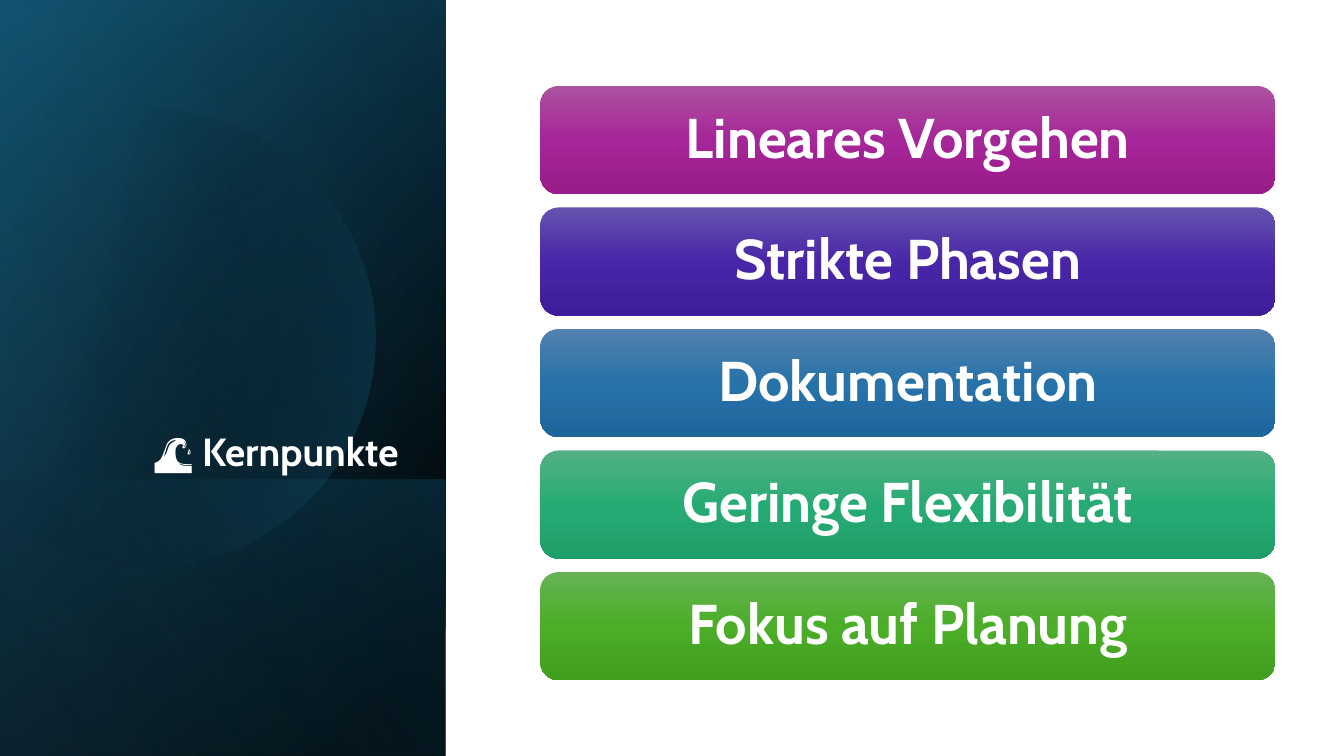
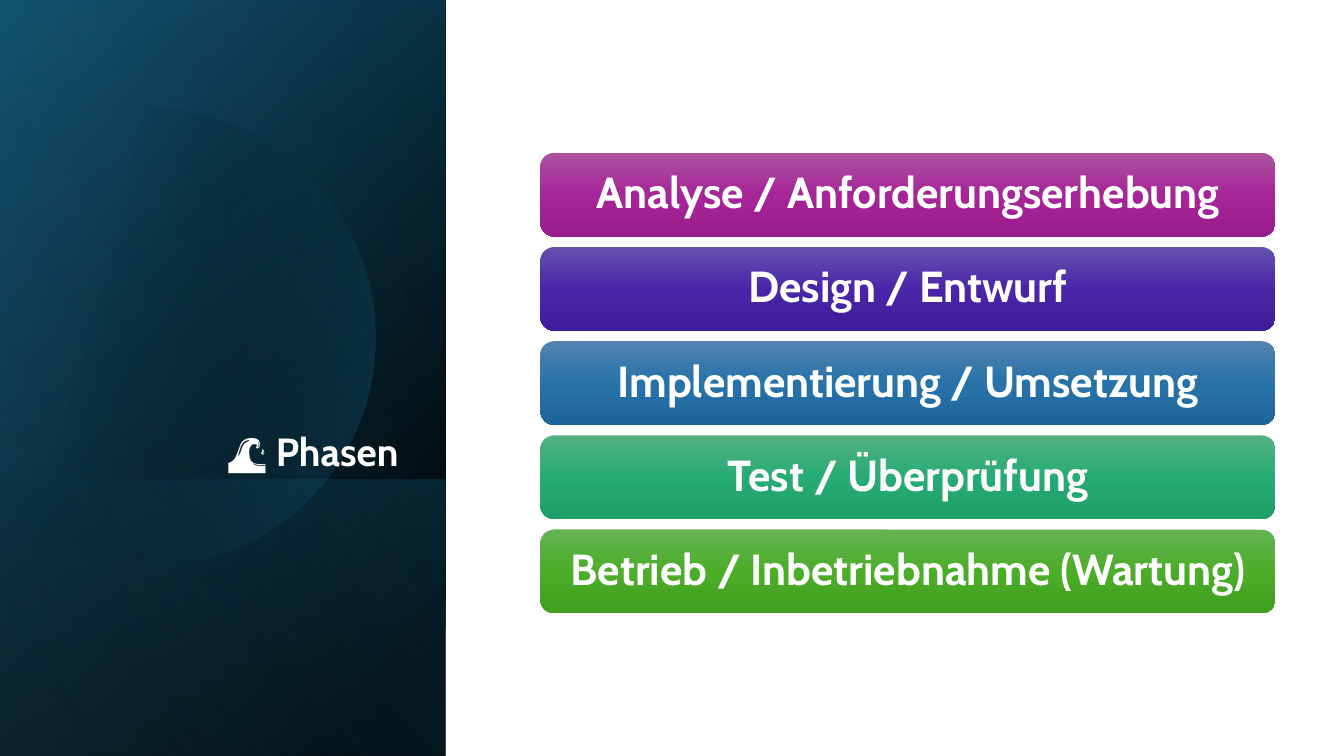
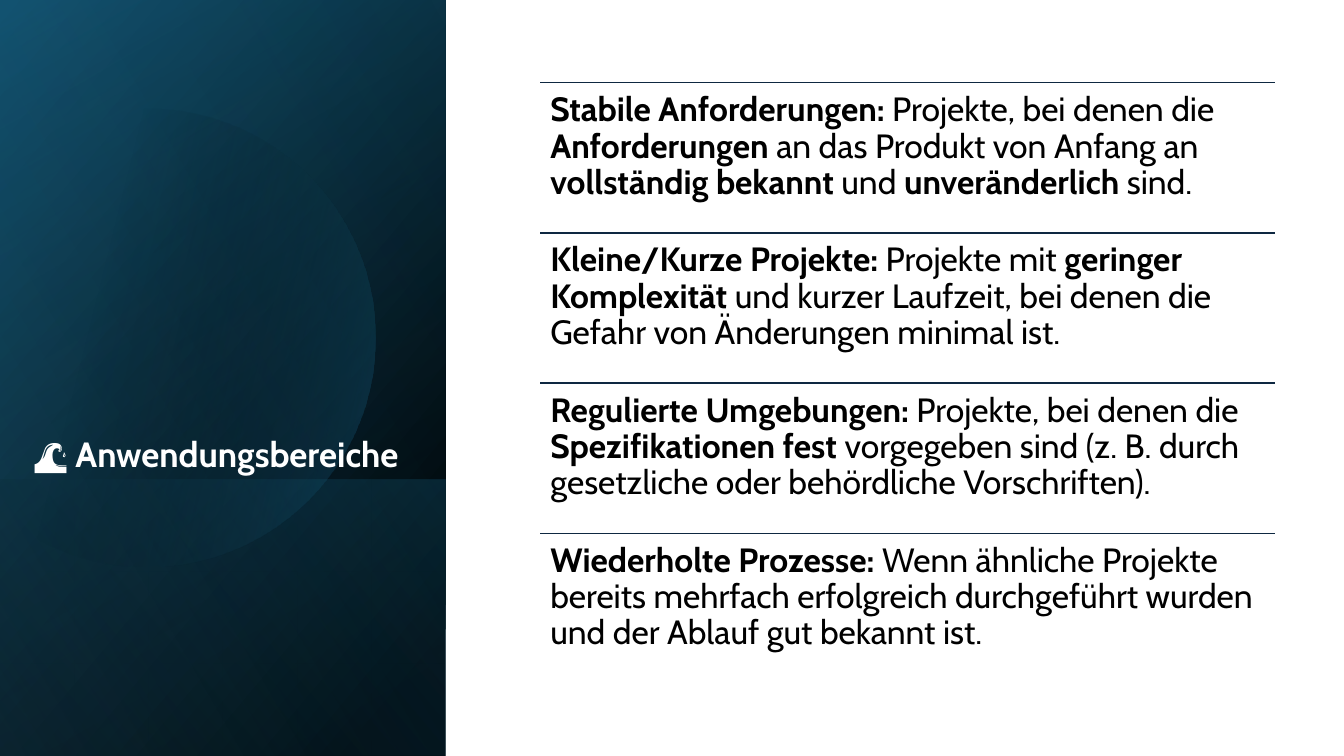
from dataclasses import dataclass
from math import acos, cos, pi, sin

from lxml import etree
from pptx import Presentation
from pptx.dml.color import RGBColor
from pptx.enum.shapes import MSO_CONNECTOR, MSO_SHAPE
from pptx.enum.text import MSO_ANCHOR, PP_ALIGN
from pptx.oxml.ns import qn
from pptx.util import Inches, Pt

RECTANGLE = MSO_SHAPE.RECTANGLE
ROUNDED = MSO_SHAPE.ROUNDED_RECTANGLE
STRAIGHT = MSO_CONNECTOR.STRAIGHT
TOP, MIDDLE, BOTTOM = MSO_ANCHOR.TOP, MSO_ANCHOR.MIDDLE, MSO_ANCHOR.BOTTOM
LEFT, CENTER, RIGHT = PP_ALIGN.LEFT, PP_ALIGN.CENTER, PP_ALIGN.RIGHT


@dataclass(frozen=True)
class Theme:
    font: str = "Cabin"
    light: str = "FFFFFF"
    dark: str = "000000"
    rule: str = "0E2841"
    body_size: int = 24
    line_spacing: float = 0.9
    bars: tuple = (
        ("AC53A0", "A62598", "991C8B"),
        ("6553AE", "4926A8", "3E1C9A"),
        ("5382AF", "2772A9", "1D669C"),
        ("54B183", "27AB74", "1E9E68"),
        ("66B354", "4BAD28", "409F1E"),
    )


THEME = Theme()

SLIDES = [
    {
        "title": [("🌊 Kernpunkte", 28)],
        "bar_size": 40,
        "bars": [
            "Lineares Vorgehen",
            "Strikte Phasen",
            "Dokumentation",
            "Geringe Flexibilität",
            "Fokus auf Planung",
        ],
    },
    {
        "title": [("🌊 Phasen", 28)],
        "bar_size": 31,
        "bars": [
            "Analyse / Anforderungserhebung",
            "Design / Entwurf",
            "Implementierung / Umsetzung",
            "Test / Überprüfung",
            "Betrieb / Inbetriebnahme (Wartung)",
        ],
    },
    {
        "title": [("🌊 ", 24), ("Anwendungsbereiche", 25)],
        "rows": [
            "**Stabile Anforderungen:** Projekte, bei denen die **Anforderungen** an das Produkt "
            "von Anfang an **vollständig bekannt** und **unveränderlich** sind.",
            "**Kleine/Kurze Projekte:** Projekte mit **geringer Komplexität** und kurzer Laufzeit, "
            "bei denen die Gefahr von Änderungen minimal ist.",
            "**Regulierte Umgebungen:** Projekte, bei denen die **Spezifikationen fest** vorgegeben "
            "sind (z. B. durch gesetzliche oder behördliche Vorschriften).",
            "**Wiederholte Prozesse:** Wenn ähnliche Projekte bereits mehrfach erfolgreich "
            "durchgeführt wurden und der Ablauf gut bekannt ist.",
        ],
    },
]

SLIDE_WIDTH, SLIDE_HEIGHT = 13.33, 7.5
PANEL_WIDTH = 4.42
SHADE_HEIGHT = 2.74
TITLE_LEFT, TITLE_RIGHT, TITLE_TOP, TITLE_BOTTOM = 0.11, 4.05, 1.84, 4.76
CONTENT_LEFT, CONTENT_WIDTH, CONTENT_MIDDLE = 5.36, 7.29, 3.8
BAR_EMS, GAP_EMS, INSET_EMS = 1.93, 0.24, 0.3
ROW_HEIGHT, ROW_INSET = 1.49, 0.1
CIRCLE_X, CIRCLE_Y, CIRCLE_RADIUS, CIRCLE_STEPS = 1.45, 3.35, 2.27, 90

BASE_LAYERS = [
    ([(8, "000000", 100), (100, "104862", 100)], 50, SLIDE_HEIGHT),
    ([(0, "000000", 0), (99, "156082", 46)], 30, SLIDE_HEIGHT),
    ([(2, "156082", 29), (100, "000000", 30)], 130, SHADE_HEIGHT),
]
CIRCLE_STOPS, CIRCLE_ANGLE = [(29, "000000", 0), (100, "156082", 43)], 14
GLOW_LAYER = ([(0, "000000", 0), (99, "46B1E1", 11)], 120, SLIDE_HEIGHT)


def paint(shape, stops, angle):
    gradient = etree.SubElement(shape.element.spPr, qn("a:gradFill"), rotWithShape="1")
    stop_list = etree.SubElement(gradient, qn("a:gsLst"))
    for position, color, opacity in stops:
        stop = etree.SubElement(stop_list, qn("a:gs"), pos=str(position * 1000))
        tint = etree.SubElement(stop, qn("a:srgbClr"), val=color)
        if opacity < 100:
            etree.SubElement(tint, qn("a:alpha"), val=str(opacity * 1000))
    etree.SubElement(gradient, qn("a:lin"), ang=str(angle * 60000), scaled="0")
    shape.line.fill.background()
    shape.shadow.inherit = False


def write(shape, runs, color, alignment, anchor, inset=None):
    frame = shape.text_frame
    frame.word_wrap = True
    frame.vertical_anchor = anchor
    if inset is not None:
        frame.margin_left = frame.margin_right = Inches(inset)
        frame.margin_top = frame.margin_bottom = Inches(inset)
    paragraph = frame.paragraphs[0]
    paragraph.alignment = alignment
    paragraph.line_spacing = THEME.line_spacing
    for text, size, bold in runs:
        run = paragraph.add_run()
        run.text = text
        run.font.name = THEME.font
        run.font.size = Pt(size)
        run.font.bold = bold
        run.font.color.rgb = RGBColor.from_string(color)


def add_panel_layer(slide, stops, angle, height):
    center_x, center_y = PANEL_WIDTH / 2, SLIDE_HEIGHT - height / 2
    layer = slide.shapes.add_shape(
        RECTANGLE,
        Inches(center_x - height / 2),
        Inches(center_y - PANEL_WIDTH / 2),
        Inches(height),
        Inches(PANEL_WIDTH),
    )
    layer.rotation = 90
    layer.element.spPr.find(qn("a:xfrm")).set("flipH", "1")
    paint(layer, stops, angle)


def add_panel_circle(slide):
    limit = acos(-CIRCLE_X / CIRCLE_RADIUS)
    angles = [limit * (2 * step / CIRCLE_STEPS - 1) for step in range(CIRCLE_STEPS + 1)]
    points = [
        (
            Inches(CIRCLE_X + CIRCLE_RADIUS * cos(angle)),
            Inches(CIRCLE_Y + CIRCLE_RADIUS * sin(angle)),
        )
        for angle in angles
    ]
    builder = slide.shapes.build_freeform(*points[0])
    builder.add_line_segments(points[1:], close=True)
    paint(builder.convert_to_shape(), CIRCLE_STOPS, CIRCLE_ANGLE)


def add_title_panel(slide, title):
    for layer in BASE_LAYERS:
        add_panel_layer(slide, *layer)
    add_panel_circle(slide)
    add_panel_layer(slide, *GLOW_LAYER)
    box = slide.shapes.add_textbox(
        Inches(TITLE_LEFT),
        Inches(TITLE_TOP),
        Inches(TITLE_RIGHT - TITLE_LEFT),
        Inches(TITLE_BOTTOM - TITLE_TOP),
    )
    runs = [(text, size, True) for text, size in title]
    write(box, runs, THEME.light, RIGHT, BOTTOM)


def add_bars(slide, labels, size):
    em = size / 72
    height, gap = BAR_EMS * em, GAP_EMS * em
    top = CONTENT_MIDDLE - (len(labels) * (height + gap) - gap) / 2
    for index, (label, colors) in enumerate(zip(labels, THEME.bars)):
        bar = slide.shapes.add_shape(
            ROUNDED,
            Inches(CONTENT_LEFT),
            Inches(top + index * (height + gap)),
            Inches(CONTENT_WIDTH),
            Inches(height),
        )
        stops = [(position, color, 100) for position, color in zip((0, 50, 100), colors)]
        paint(bar, stops, 90)
        write(bar, [(label, size, True)], THEME.light, CENTER, MIDDLE, INSET_EMS * em)


def add_rows(slide, rows):
    first_top = CONTENT_MIDDLE - len(rows) * ROW_HEIGHT / 2
    left, width = Inches(CONTENT_LEFT), Inches(CONTENT_WIDTH)
    for index, row in enumerate(rows):
        top = Inches(first_top + index * ROW_HEIGHT)
        rule = slide.shapes.add_connector(STRAIGHT, left, top, left + width, top)
        rule.line.color.rgb = RGBColor.from_string(THEME.rule)
        rule.line.width = Pt(1)
        etree.SubElement(rule.element.spPr, qn("a:effectLst"))
        box = slide.shapes.add_textbox(left, top, width, Inches(ROW_HEIGHT))
        runs = [
            (part, THEME.body_size, position % 2 == 1)
            for position, part in enumerate(row.split("**"))
            if part
        ]
        write(box, runs, THEME.dark, LEFT, TOP, ROW_INSET)


def main():
    presentation = Presentation()
    presentation.slide_width = Inches(SLIDE_WIDTH)
    presentation.slide_height = Inches(SLIDE_HEIGHT)
    blank = presentation.slide_layouts[6]
    for content in SLIDES:
        slide = presentation.slides.add_slide(blank)
        add_title_panel(slide, content["title"])
        if "bars" in content:
            add_bars(slide, content["bars"], content["bar_size"])
        else:
            add_rows(slide, content["rows"])
    presentation.save("out.pptx")


if __name__ == "__main__":
    main()
